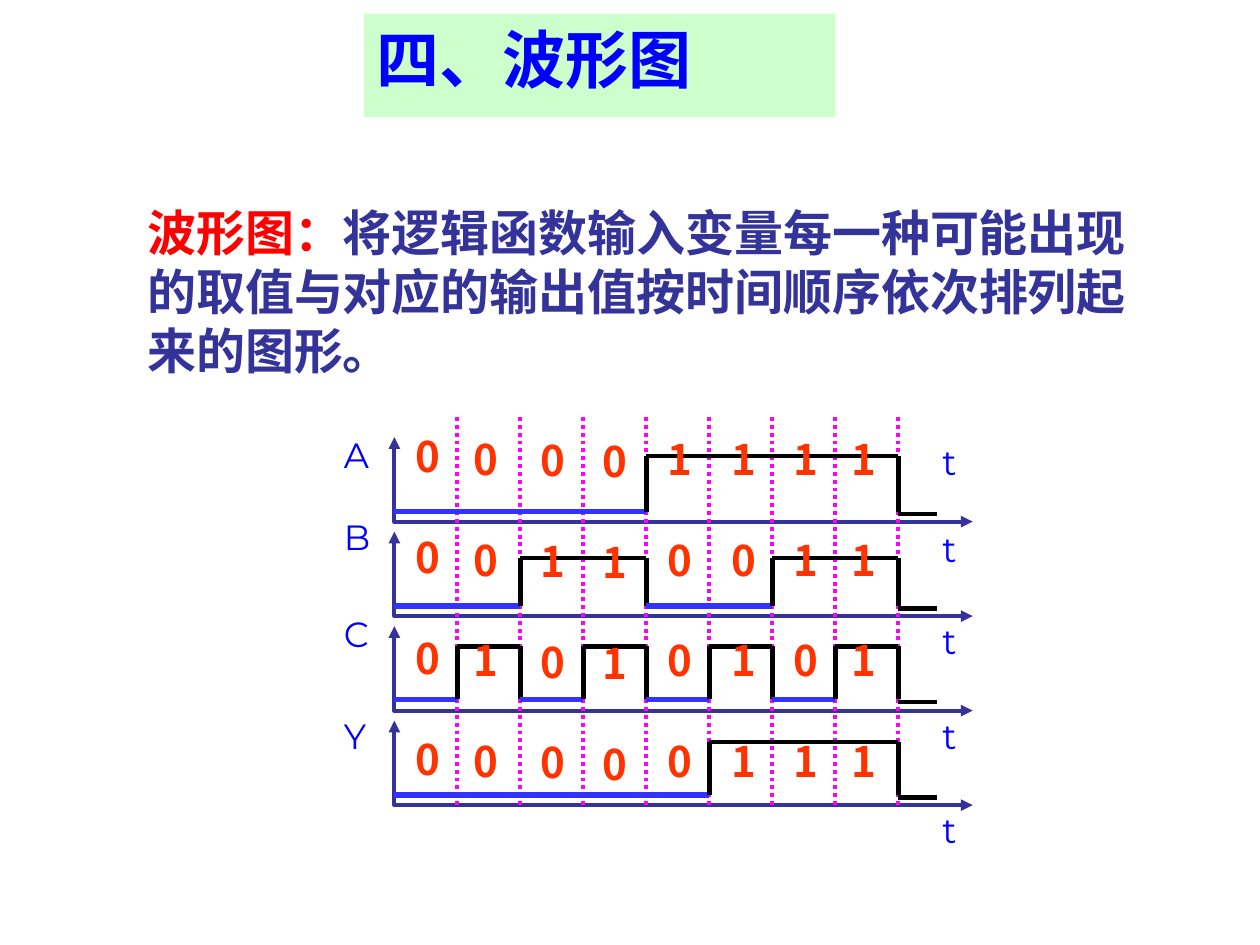
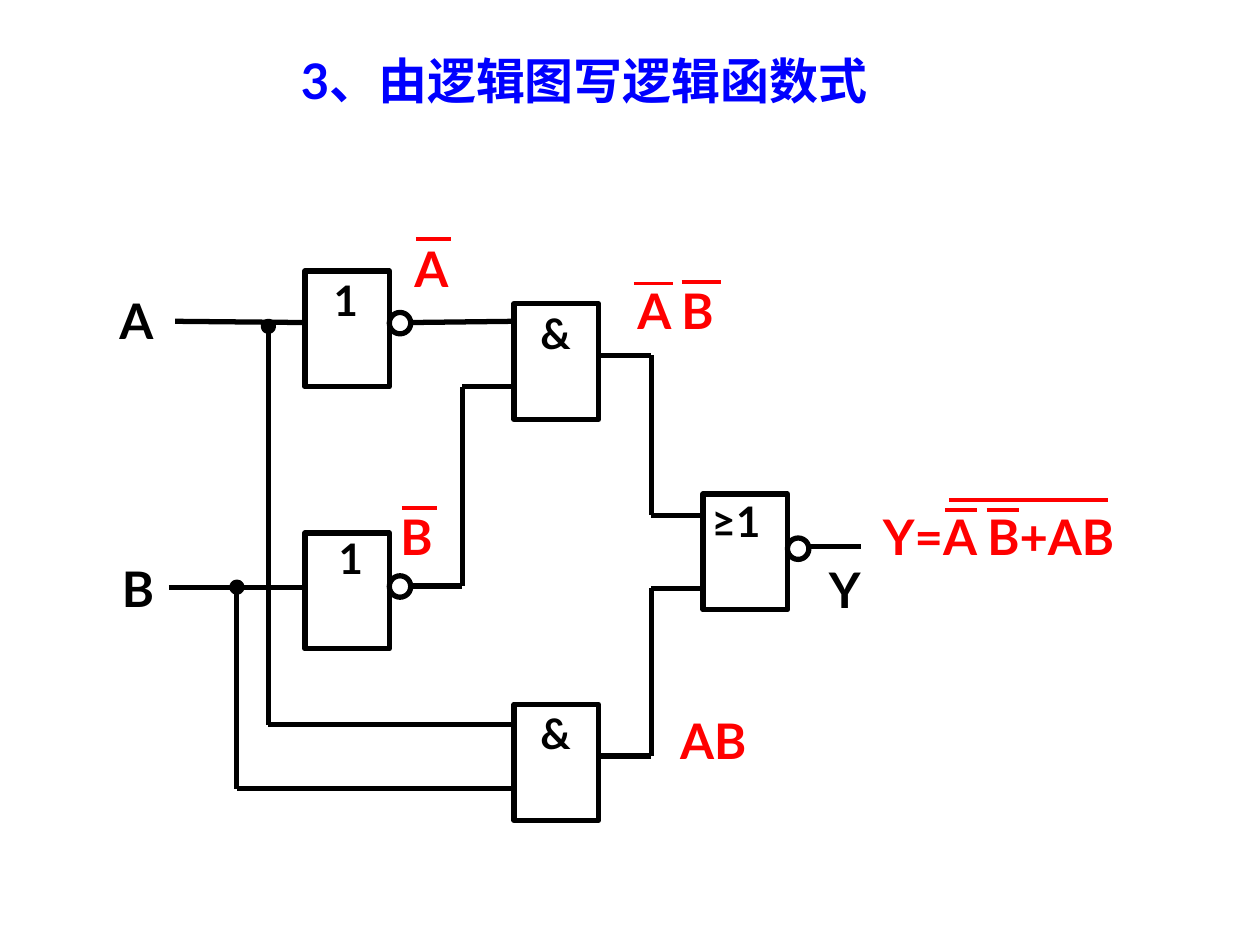
"""Build two slides on logic waveforms and logic diagrams."""
from itertools import groupby

from lxml import etree
from pptx import Presentation
from pptx.dml.color import RGBColor
from pptx.enum import dml, shapes, text
from pptx.oxml import ns
from pptx.util import Inches, Pt

BLUE, NAVY, RED = "0000FF", "333399", "FF0000"
BLACK, WHITE, MINT = "000000", "FFFFFF", "CCFFCC"
LOW_BLUE, MAGENTA, ORANGE = "3333FF", "FF00FF", "FF3300"
LATO, CALIBRI = "Lato", "Calibri"
MONTSERRAT, NOTO = "Montserrat", "Noto Sans CJK SC"

AXIS_LEFT, AXIS_RIGHT, STEP = 3.13, 7.72, 0.5
AXIS_TOP, AXIS_HEIGHT, AXIS_PITCH = 3.47, 0.67, 0.75
SIGNALS = [
    ("A", "00001111", 3.62, 4.06, 3.39),
    ("B", "00110011", 4.43, 4.81, 4.04),
    ("C", "01010101", 5.13, 5.55, 4.81),
    ("Y", "00000111", 5.89, 6.31, 5.62),
]
TIME_LABEL_TOPS = [3.45, 4.14, 4.87, 5.62, 6.37]
DIGIT_COLUMNS = [(3.2, 3.35), (3.66, 3.37), (4.19, 3.38), (4.68, 3.39),
                 (5.2, 3.37), (5.71, 3.37), (6.2, 3.37), (6.66, 3.37)]

GATES = [
    (2.42, 2.15, "1", 2.55, 2.13),
    (2.42, 4.23, "1", 2.59, 4.18),
    (4.08, 2.41, "&", 4.19, 2.39),
    (4.08, 5.59, "&", 4.19, 5.57),
    (5.58, 3.92, "≥1", 5.55, 3.88),
]
BUBBLES = [(3.09, 2.48), (3.09, 4.57), (6.25, 4.27)]
JUNCTIONS = [(2.09, 2.55), (1.84, 4.62)]
WIRES = [
    [(1.39, 2.55), (2.42, 2.56)],
    [(1.34, 4.66), (2.42, 4.66)],
    [(3.25, 2.56), (4.08, 2.55)],
    [(3.25, 4.65), (3.67, 4.65), (3.67, 3.07), (4.08, 3.07)],
    [(2.13, 2.57), (2.13, 5.75), (4.09, 5.75)],
    [(1.88, 4.66), (1.88, 6.26), (4.09, 6.26)],
    [(4.75, 2.82), (5.17, 2.82), (5.17, 4.09), (5.58, 4.09)],
    [(4.76, 6), (5.17, 6), (5.17, 4.67), (5.58, 4.67)],
    [(6.42, 4.34), (6.83, 4.34)],
]
PORTS = [("A", 0.85, 2.26), ("B", 0.87, 4.38), ("Y", 6.48, 4.39)]
EXPRESSIONS = [
    ("A", 3.19, 1.84, 0.7, [(3.3, 3.58, 1.9)]),
    ("B", 3.08, 3.97, 0.7, [(3.19, 3.47, 4.03)]),
    ("A B", 4.96, 2.18, 0.9, [(5.03, 5.34, 2.25), (5.41, 5.72, 2.24)]),
    ("AB", 5.3, 5.59, 0.82, []),
    ("Y=A B+AB", 6.91, 3.97, 2.37,
     [(7.5, 7.75, 4.05), (7.83, 8.09, 4.05), (7.53, 8.79, 3.97)]),
]


def color(value):
    """Turn a hex string into a colour."""
    return RGBColor.from_string(value)


def style_font(font, name, size, hex_color, bold=True):
    """Set face, size, colour and weight of a font."""
    font.name, font.size, font.bold = name, Pt(size), bold
    font.color.rgb = color(hex_color)


def write(paragraph, parts, name, size, bold=True):
    """Write (text, colour) parts, with one face for Latin and East Asian text."""
    for words, hex_color in parts:
        run = paragraph.add_run()
        run.text = words
        style_font(run.font, name, size, hex_color, bold)
        latin = run.font._element.find(ns.qn("a:latin"))
        east_asian = etree.Element(ns.qn("a:ea"), typeface=name)
        latin.addnext(east_asian)


def add_text(slide, box, parts, name, size, bold=True, wrap=True):
    """Add a one-paragraph text box."""
    shape = slide.shapes.add_textbox(*map(Inches, box))
    shape.text_frame.word_wrap = wrap
    shape.text_frame.auto_size = text.MSO_AUTO_SIZE.SHAPE_TO_FIT_TEXT
    write(shape.text_frame.paragraphs[0], parts, name, size, bold)


def add_line(slide, start, end, hex_color, width, dash=None):
    """Add a straight line without a shadow."""
    line = slide.shapes.add_connector(
        shapes.MSO_CONNECTOR.STRAIGHT, *map(Inches, (*start, *end)))
    line.line.color.rgb = color(hex_color)
    line.line.width = Pt(width)
    if dash:
        line.line.dash_style = dash
    etree.SubElement(line._element.spPr, ns.qn("a:effectLst"))


def add_polyline(slide, points, hex_color, width):
    """Join consecutive points with lines."""
    for start, end in zip(points, points[1:]):
        add_line(slide, start, end, hex_color, width)


def add_block(slide, kind, box, fill, outline=BLACK):
    """Add a filled preset shape with an optional outline."""
    shape = slide.shapes.add_shape(kind, *map(Inches, box))
    shape.shadow.inherit = False
    shape.fill.solid()
    shape.fill.fore_color.rgb = color(fill)
    if outline:
        shape.line.color.rgb = color(outline)
        shape.line.width = Pt(3)
    else:
        shape.line.fill.background()
    return shape


def add_axes(slide, top):
    """Add an L-shaped pair of axes with arrowheads at both ends."""
    bottom = top + AXIS_HEIGHT
    builder = slide.shapes.build_freeform(
        Inches(AXIS_LEFT), Inches(top), scale=1.0)
    builder.add_line_segments(
        [(Inches(AXIS_LEFT), Inches(bottom)),
         (Inches(AXIS_RIGHT), Inches(bottom))], close=False)
    axes = builder.convert_to_shape()
    axes.shadow.inherit = False
    axes.fill.background()
    axes.line.color.rgb = color(NAVY)
    axes.line.width = Pt(2.25)
    for end in ("headEnd", "tailEnd"):
        etree.SubElement(axes.line._get_or_add_ln(),
                         ns.qn("a:" + end), type="triangle")


def add_wave(slide, bits, high, low):
    """Draw low levels in blue and pulses in black, one step per bit."""
    x = AXIS_LEFT
    for bit, group in groupby(bits):
        end = x + STEP * len(list(group))
        if bit == "0":
            add_line(slide, (x, low), (end, low), LOW_BLUE, 3)
        else:
            add_polyline(slide, [(x, low), (x, high), (end, high), (end, low)],
                         BLACK, 2.5)
        x = end
    add_line(slide, (x, low + 0.02), (x + 0.31, low + 0.02), BLACK, 2.5)


def add_digits(slide, left, top, digits):
    """Add a column of bits, one for each signal."""
    shape = slide.shapes.add_textbox(
        *map(Inches, (left, top + 0.02, 0.37, 2.9)))
    frame = shape.text_frame
    frame.word_wrap = False
    for index, digit in enumerate(digits):
        paragraph = frame.add_paragraph() if index else frame.paragraphs[0]
        paragraph.text = digit
        paragraph.line_spacing = Pt(28.8)
        paragraph.space_after = Pt(28.8 if index < len(digits) - 1 else 0)
        style_font(paragraph.font, NOTO, 24, ORANGE)


def build_waveform_slide(slide):
    """Define the waveform diagram and show an example."""
    title = add_block(slide, shapes.MSO_SHAPE.RECTANGLE,
                      (2.89, 0.11, 3.74, 0.82), MINT, None)
    title.text_frame.vertical_anchor = text.MSO_ANCHOR.TOP
    paragraph = title.text_frame.paragraphs[0]
    paragraph.alignment = text.PP_ALIGN.LEFT
    write(paragraph, [("四、波形图", BLUE)], CALIBRI, 36)

    for index, (name, _, _, _, label_top) in enumerate(SIGNALS):
        add_axes(slide, AXIS_TOP + AXIS_PITCH * index)
        add_text(slide, (2.63, label_top, 0.42, 0.43), [(name, BLUE)],
                 MONTSERRAT, 20, False, False)
    for top in TIME_LABEL_TOPS:
        add_text(slide, (7.38, top, 0.32, 0.43), [("t", BLUE)],
                 MONTSERRAT, 20, False, False)
    for index in range(1, 9):
        x = AXIS_LEFT + STEP * index
        add_line(slide, (x, 3.31), (x, 6.39), MAGENTA, 2.25,
                 dml.MSO_LINE.ROUND_DOT)
    for _, bits, high, low, _ in SIGNALS:
        add_wave(slide, bits, high, low)
    columns = zip(*(signal[1] for signal in SIGNALS))
    for (left, top), digits in zip(DIGIT_COLUMNS, columns):
        add_digits(slide, left, top, digits)

    definition = "将逻辑函数输入变量每一种可能出现的取值与对应的输出值按时间顺序依次排列起来的图形。"
    add_text(slide, (1.07, 1.56, 8.11, 1.5),
             [("波形图：", RED), (definition, NAVY)], LATO, 28)


def build_logic_slide(slide):
    """Show a logic diagram with the expression at each stage."""
    add_text(slide, (2.29, 0.35, 5.33, 0.63),
             [("3、由逻辑图写逻辑函数式", BLUE)], LATO, 28, wrap=False)
    for points in WIRES:
        add_polyline(slide, points, BLACK, 3)
    for left, top, symbol, text_left, text_top in GATES:
        add_block(slide, shapes.MSO_SHAPE.RECTANGLE,
                  (left, top, 0.67, 0.92), WHITE)
        add_text(slide, (text_left, text_top, 0.67, 0.5),
                 [(symbol, BLACK)], LATO, 24)
    for spots, size, fill in ((BUBBLES, 0.17, WHITE), (JUNCTIONS, 0.08, BLACK)):
        for left, top in spots:
            add_block(slide, shapes.MSO_SHAPE.OVAL,
                      (left, top, size, size), fill)
    for name, left, top in PORTS:
        add_text(slide, (left, top, 0.6, 0.57), [(name, BLACK)], LATO, 28)
    for words, left, top, width, bars in EXPRESSIONS:
        add_text(slide, (left, top, width, 0.57), [(words, RED)], LATO, 28)
        for start, end, y in bars:
            add_line(slide, (start, y), (end, y), RED, 2.25)


def main():
    """Build and save the presentation."""
    presentation = Presentation()
    presentation.slide_width = Inches(10)
    presentation.slide_height = Inches(7.5)
    blank = presentation.slide_layouts[6]
    for build in (build_waveform_slide, build_logic_slide):
        build(presentation.slides.add_slide(blank))
    presentation.save("out.pptx")


main()
